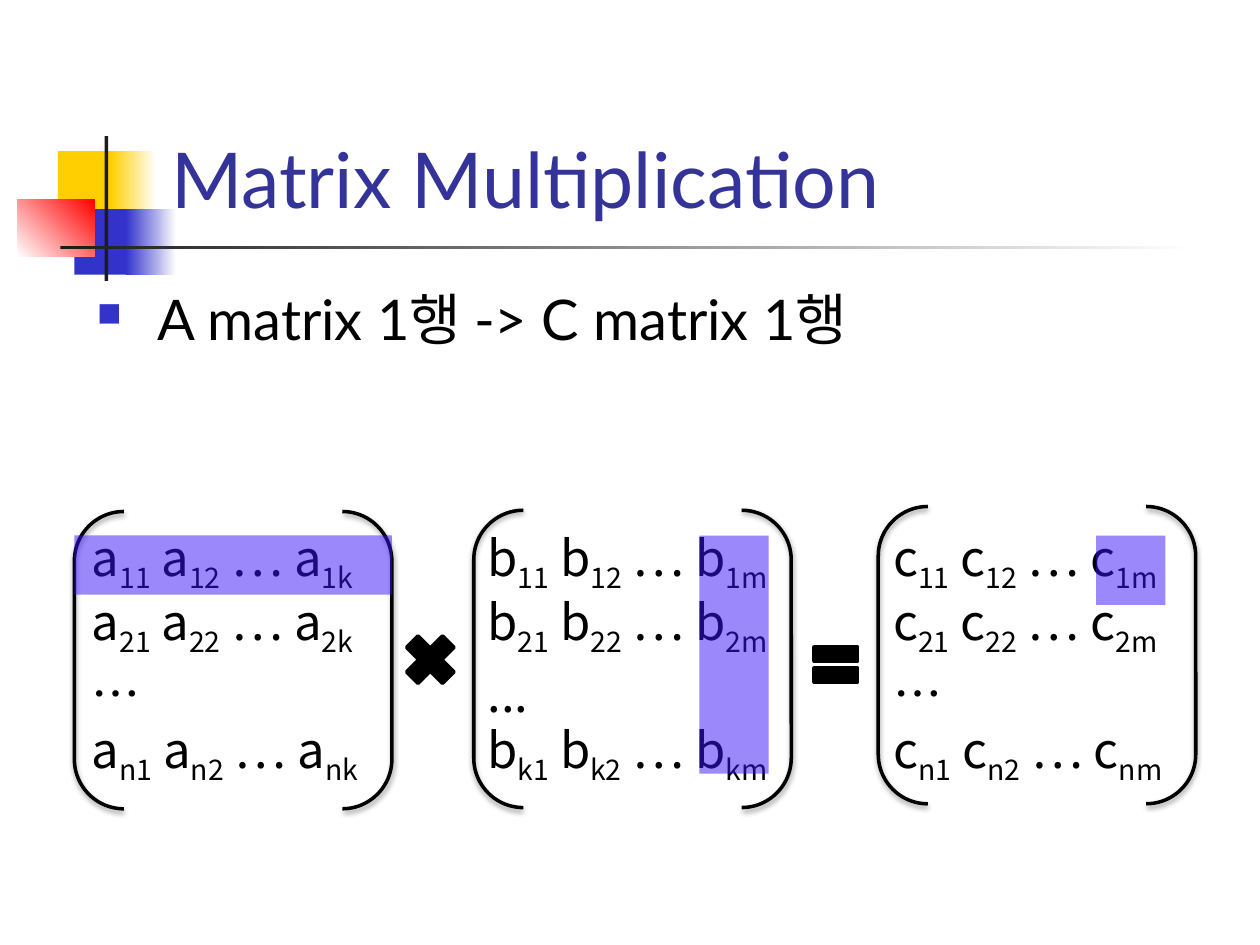
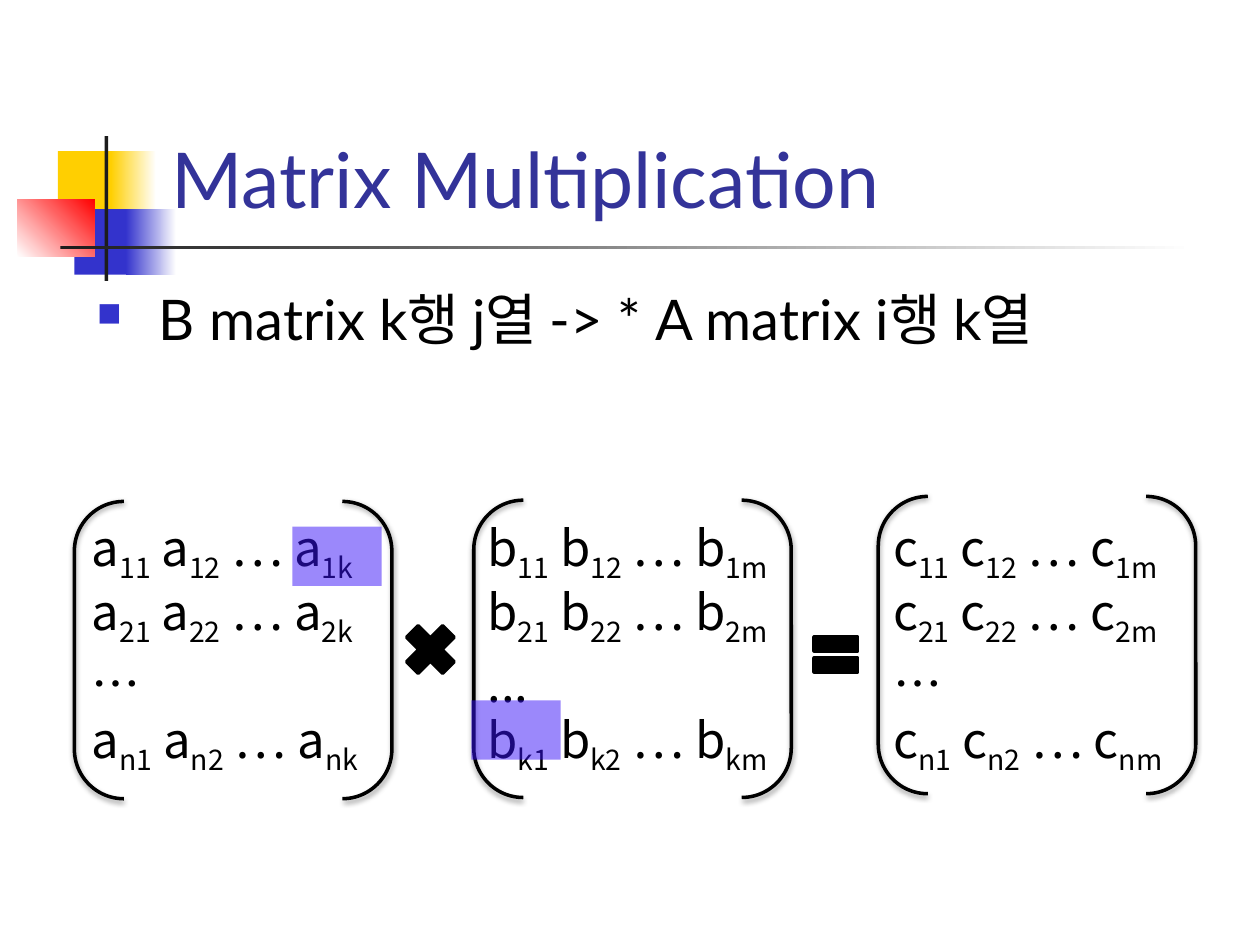
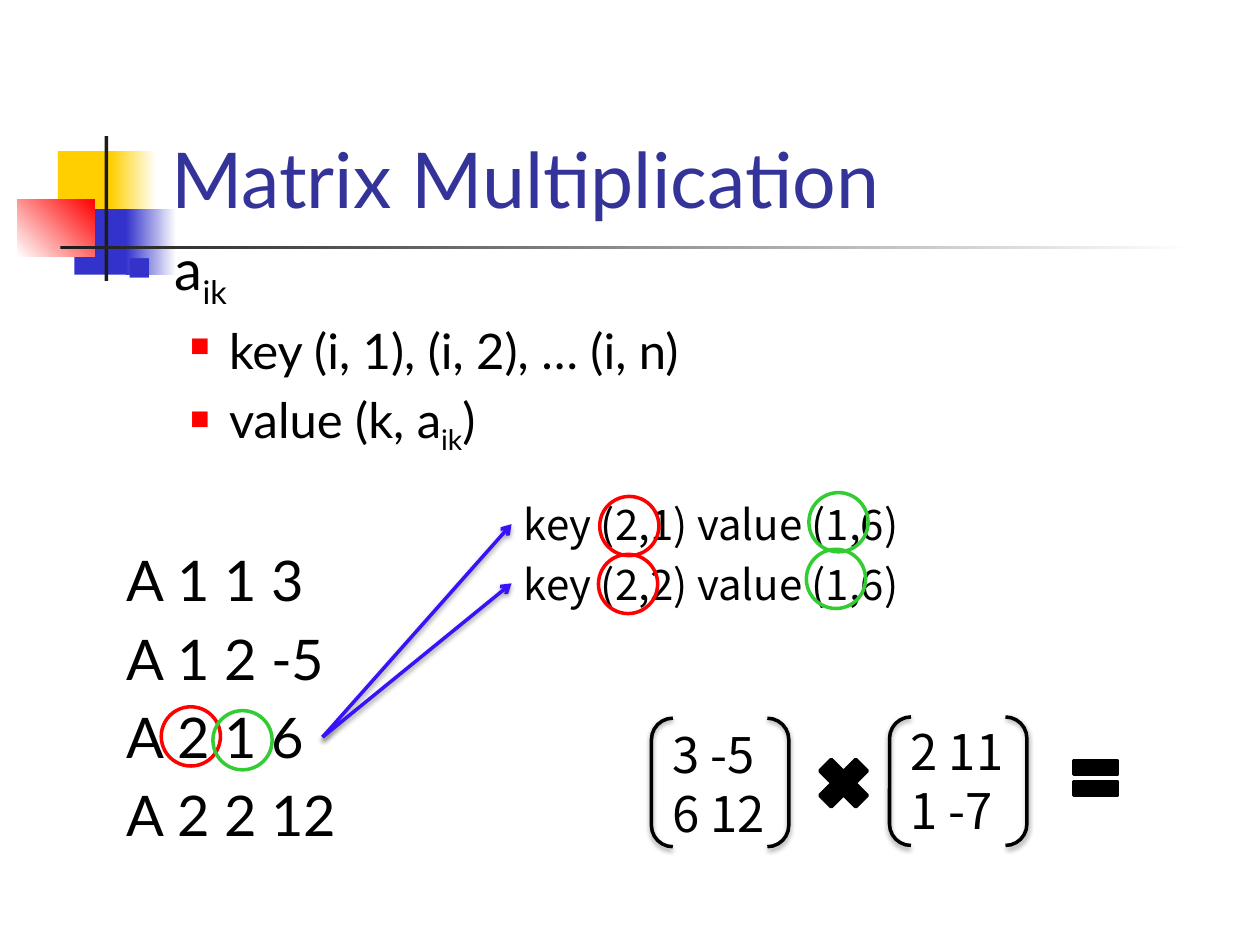
"""Build three slides that explain matrix multiplication as key and value pairs."""
import pptx
import pptx.dml.color
import pptx.enum.shapes
import pptx.enum.text
import pptx.oxml
import pptx.oxml.ns
import pptx.util
from lxml import etree

RGB = pptx.dml.color.RGBColor
PRESET = pptx.enum.shapes.MSO_SHAPE
Inches, Pt, qn = pptx.util.Inches, pptx.util.Pt, pptx.oxml.ns.qn

BLACK = RGB(0x00, 0x00, 0x00)
WHITE = RGB(0xFF, 0xFF, 0xFF)
INK = RGB(0x1C, 0x1C, 0x1C)
NAVY = RGB(0x33, 0x33, 0x99)
BLUE = RGB(0x33, 0x33, 0xCC)
VIOLET = RGB(0x38, 0x12, 0xF8)
YELLOW = RGB(0xFF, 0xCF, 0x01)
RED = RGB(0xFF, 0x00, 0x00)
GREEN = RGB(0x33, 0xCC, 0x33)
LATIN, KOREAN = "Lato", "Noto Sans CJK KR"

TITLE = "Matrix Multiplication"
TITLE_BOX = (1.26, 0.23, 8.52, 1.6)
DECORATION = [
    ((0.46, 1.2, 0.48, 0.52), (YELLOW,), 0),
    ((0.88, 1.2, 0.36, 0.52), (YELLOW, WHITE), 0),
    ((0.59, 1.66, 0.46, 0.52), (BLUE,), 0),
    ((1, 1.66, 0.4, 0.52), (BLUE, WHITE), 0),
    ((0.14, 1.58, 0.61, 0.46), (WHITE, RED), 45),
    ((0.83, 1.08, 0.03, 1.15), (INK,), 0),
    ((0.48, 1.95, 9, 0.03), (INK, WHITE), 0),
]

# Braces mark subscripts in the texts below.
MATRICES = [
    (0.59, 4.06, 0.63, ["a{11} a{12} … a{1k}", "a{21} a{22} … a{2k}", "…", "a{n1} a{n2} … a{nk}"]),
    (3.76, 4.05, 3.77, ["b{11} b{12} … b{1m}", "b{21} b{22} … b{2m}", "...", "b{k1} b{k2} … b{km}"]),
    (6.97, 4.02, 6.99, ["c{11} c{12} … c{1m}", "c{21} c{22} … c{2m}", "…", "c{n1} c{n2} … c{nm}"]),
]
PRODUCT_SLIDES = [
    (" A matrix 1행 -> C matrix 1행", 0,
     [(0.59, 4.25, 2.52, 0.47), (5.55, 4.25, 0.55, 1.89), (8.7, 4.25, 0.55, 0.55)]),
    (" B matrix k행 j열 -> * A matrix i행 k열", -0.08,
     [(2.32, 4.18, 0.71, 0.47), (3.74, 5.56, 0.71, 0.47)]),
]

MAPPING = [
    ("a{ik}", "point"),
    ("key (i, 1), (i, 2), … (i, n)", "detail"),
    ("value (k, a{ik})", "detail"),
    ("A 1 1 3", "first record"),
    ("A 1 2 -5", "record"),
    ("A 2 1 6", "record"),
    ("A 2 2 12", "record"),
]
POINT_STYLES = {
    "point": dict(size=32, left=0.38, hang=0.38, before=6.4, bullet=(BLUE, 60)),
    "detail": dict(size=28, left=0.81, hang=0.31, before=5.6, bullet=(RED, 55)),
    "record": dict(size=32, left=0.38, hang=0.38, before=6.4, bullet=None),
    "first record": dict(size=32, left=0.38, hang=0.38, before=51.2, bullet=None),
}
EXAMPLES = [
    ((5.17, 5.7, 1.09, 1.02), (5.24, 5.7, 0.97, 1.04), ["3 -5", "6 12"]),
    ((7.06, 5.69, 1.09, 1.02), (7.13, 5.68, 0.97, 1.04), ["2 11", "1 -7"]),
]
PAIRS = [("key (2,1) value (1,6)", 3.91), ("key (2,2) value (1,6)", 4.38)]
PAIR_LEFT, PAIR_HEIGHT = 4.06, 0.5
RECORD_END = (2.56, 5.85)
CIRCLES = {
    RED: [(1.28, 5.61), (4.76, 3.94), (4.75, 4.4)],
    GREEN: [(1.69, 5.64), (6.42, 3.91), (6.4, 4.36)],
}
CIRCLE = 0.47


def inches(box):
    return [Inches(length) for length in box]


def set_effects(part, shadowed):
    effects = etree.SubElement(part._element.spPr, qn("a:effectLst"))
    if shadowed:
        shadow = etree.SubElement(effects, qn("a:outerShdw"), blurRad=str(Pt(3.1)),
                                  dist=str(Pt(1.6)), dir="5400000", rotWithShape="0")
        color = etree.SubElement(shadow, qn("a:srgbClr"), val=str(BLACK))
        etree.SubElement(color, qn("a:alpha"), val="38000")


def add_preset(slide, preset, box, fills=(), line=None, angle=0, shadowed=False):
    shape = slide.shapes.add_shape(preset, *inches(box))
    if len(fills) == 2:
        shape.fill.gradient()
        shape.fill.gradient_angle = angle
        for stop, color in zip(shape.fill.gradient_stops, fills):
            stop.color.rgb = color
    elif fills:
        shape.fill.solid()
        shape.fill.fore_color.rgb = fills[0]
    else:
        shape.fill.background()
    if line is None:
        shape.line.fill.background()
    else:
        shape.line.color.rgb = line
        shape.line.width = Pt(2)
    set_effects(shape, shadowed)
    return shape


def write(paragraph, text, font, size, color=BLACK):
    for index, piece in enumerate(text.replace("}", "{").split("{")):
        if piece:
            run = paragraph.add_run()
            run.text = piece
            if index % 2:
                run._r.get_or_add_rPr().set("baseline", "-25000")
    paragraph.font.name = font
    paragraph.font.size = Pt(size)
    paragraph.font.color.rgb = color


def add_lines(slide, box, lines, size, spacing):
    frame = slide.shapes.add_textbox(*inches(box)).text_frame
    frame.word_wrap = False
    frame.auto_size = pptx.enum.text.MSO_AUTO_SIZE.SHAPE_TO_FIT_TEXT
    for index, line in enumerate(lines):
        paragraph = frame.add_paragraph() if index else frame.paragraphs[0]
        paragraph.line_spacing = Pt(spacing)
        write(paragraph, line, KOREAN, size)


def add_points(slide, box, points):
    frame = slide.shapes.add_textbox(*inches(box)).text_frame
    frame.word_wrap = True
    for index, (text, kind) in enumerate(points):
        style = POINT_STYLES[kind]
        paragraph = frame.add_paragraph() if index else frame.paragraphs[0]
        if index:
            paragraph.space_before = Pt(style["before"])
        properties = paragraph._p.get_or_add_pPr()
        properties.set("marL", str(Inches(style["left"])))
        properties.set("indent", str(-Inches(style["hang"])))
        if style["bullet"]:
            color, percent = style["bullet"]
            bullet_color = etree.SubElement(properties, qn("a:buClr"))
            etree.SubElement(bullet_color, qn("a:srgbClr"), val=str(color))
            etree.SubElement(properties, qn("a:buSzPct"), val=str(percent * 1000))
            etree.SubElement(properties, qn("a:buChar"), char="■")
        else:
            etree.SubElement(properties, qn("a:buNone"))
        write(paragraph, text, LATIN, style["size"])


def add_operators(slide, times, equals):
    add_preset(slide, PRESET.MATH_MULTIPLY, (*times, 0.55, 0.55), (BLACK,), BLACK)
    add_preset(slide, PRESET.MATH_EQUAL, (*equals, 0.47, 0.47), (BLACK,), BLACK)


def add_brackets(slide, box):
    add_preset(slide, PRESET.DOUBLE_BRACKET, box, line=BLACK, shadowed=True)


def add_highlight(slide, box):
    highlight = add_preset(slide, PRESET.RECTANGLE, box, (VIOLET,))
    color = highlight._element.spPr.find(qn("a:solidFill"))[0]
    etree.SubElement(color, qn("a:alpha"), val="50000")


def add_arrow(slide, start, end):
    arrow = slide.shapes.add_connector(pptx.enum.shapes.MSO_CONNECTOR.STRAIGHT,
                                       *inches(start + end))
    arrow.line.color.rgb = VIOLET
    arrow.line.width = Pt(2)
    etree.SubElement(arrow._element.spPr.find(qn("a:ln")), qn("a:tailEnd"), type="arrow")
    set_effects(arrow, True)


def add_titled_slide(deck):
    slide = deck.slides.add_slide(deck.slide_layouts[6])
    for box, fills, angle in DECORATION:
        add_preset(slide, PRESET.RECTANGLE, box, fills, angle=angle)
    frame = slide.shapes.add_textbox(*inches(TITLE_BOX)).text_frame
    frame.word_wrap = True
    frame.vertical_anchor = pptx.enum.text.MSO_ANCHOR.BOTTOM
    write(frame.paragraphs[0], TITLE, LATIN, 44, NAVY)
    return slide


def add_product_slide(deck, point, shift, highlights):
    slide = add_titled_slide(deck)
    add_points(slide, (0.67, 2.21, 8.5, 4.5), [(point, "point")])
    for _, _, text_left, rows in MATRICES:
        add_lines(slide, (text_left, 4.16 + shift, 2.48, 1.99), rows, 28, 36.6)
    add_operators(slide, (3.14, 4.96 + shift), (6.4, 5.04 + shift))
    for left, top, _, _ in MATRICES:
        add_brackets(slide, (left, top + shift, 2.52, 2.36))
    for box in highlights:
        add_highlight(slide, box)


def add_mapping_slide(deck):
    slide = add_titled_slide(deck)
    add_points(slide, (0.91, 1.81, 8.5, 5.16), MAPPING)
    add_operators(slide, (6.42, 5.94), (8.46, 5.94))
    for bracket_box, text_box, rows in EXAMPLES:
        add_lines(slide, text_box, rows, 28, 33.6)
        add_brackets(slide, bracket_box)
    for pair, top in PAIRS:
        add_lines(slide, (PAIR_LEFT, top, 3.39, PAIR_HEIGHT), [pair], 24, 28.8)
    for _, top in PAIRS:
        add_arrow(slide, RECORD_END, (PAIR_LEFT, top + PAIR_HEIGHT / 2))
    for color, corners in CIRCLES.items():
        for corner in corners:
            add_preset(slide, PRESET.OVAL, (*corner, CIRCLE, CIRCLE), line=color)


def main():
    deck = pptx.Presentation()
    deck.slide_width, deck.slide_height = Inches(10), Inches(7.5)
    for content in PRODUCT_SLIDES:
        add_product_slide(deck, *content)
    add_mapping_slide(deck)
    deck.save("out.pptx")


if __name__ == "__main__":
    main()
